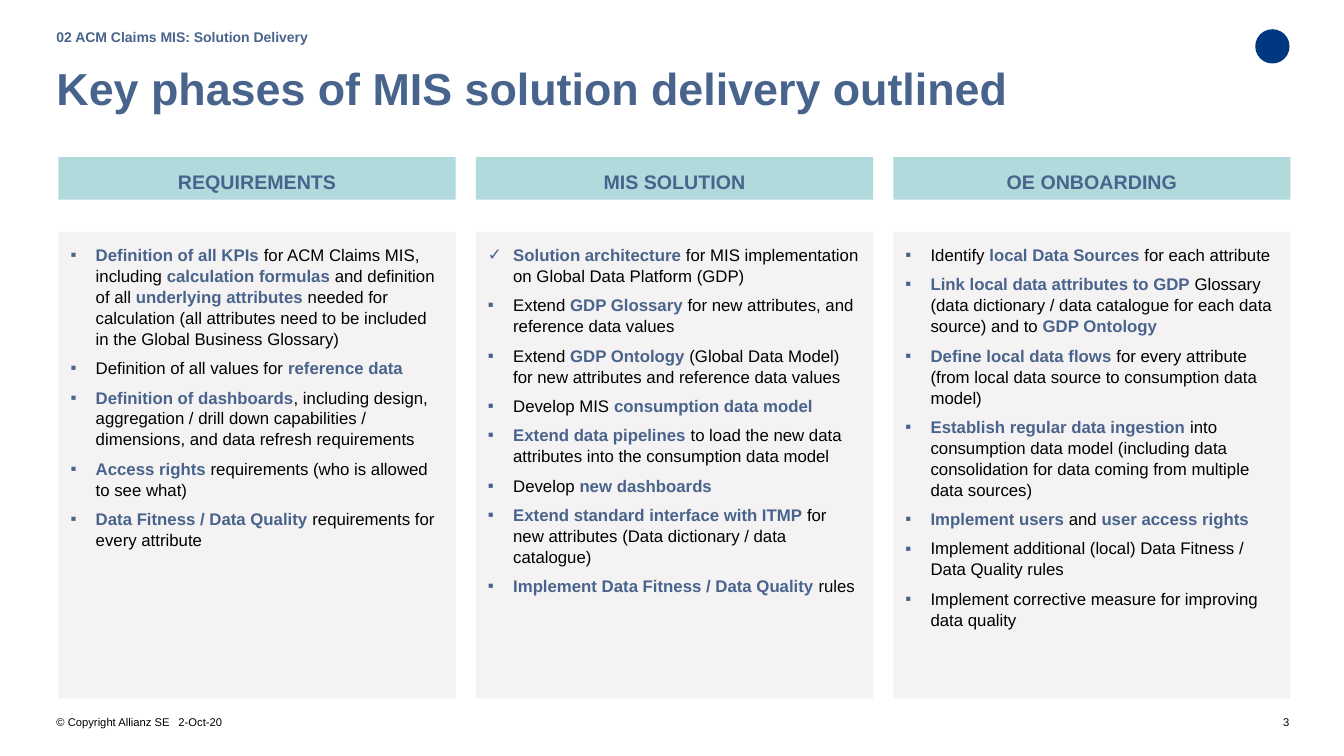
import lxml.etree
import pptx
import pptx.dml.color
import pptx.enum.shapes
import pptx.enum.text
import pptx.oxml.ns
import pptx.util

Inches, Pt = pptx.util.Inches, pptx.util.Pt
rgb = pptx.dml.color.RGBColor.from_string
qn = pptx.oxml.ns.qn
Align = pptx.enum.text.PP_ALIGN
Shape = pptx.enum.shapes.MSO_SHAPE

SLATE, BLACK, TEAL, GREY, NAVY = "49648C", "000000", "B1DADD", "F4F2F2", "003781"

# Heading, first bullet mark, list items; ** encloses highlighted words.
COLUMNS = [
    ("REQUIREMENTS", "▪", [
        "**Definition of all KPIs **for ACM Claims MIS, including **calculation formulas **and "
        "definition of all **underlying attributes **needed for calculation (all attributes need "
        "to be included in the Global Business Glossary)",
        "Definition of all values for **reference data**",
        "**Definition of dashboards**, including design, aggregation / drill down capabilities / "
        "dimensions, and data refresh requirements",
        "**Access rights **requirements (who is allowed to see what)",
        "**Data Fitness / Data Quality **requirements for every attribute",
    ]),
    ("MIS SOLUTION", "✓", [
        "**Solution architecture **for MIS implementation on Global Data Platform (GDP)",
        "Extend **GDP Glossary **for new attributes, and reference data values",
        "Extend **GDP Ontology **(Global Data Model) for new attributes and reference data values",
        "Develop MIS **consumption data model**",
        "**Extend data pipelines **to load the new data attributes into the consumption data model",
        "Develop **new dashboards**",
        "**Extend standard interface with ITMP **for new attributes (Data dictionary / data catalogue)",
        "**Implement Data Fitness / Data Quality **rules",
    ]),
    ("OE ONBOARDING", "▪", [
        "Identify **local Data Sources **for each attribute",
        "**Link local data attributes to GDP **Glossary (data dictionary / data catalogue for each "
        "data source) and to **GDP Ontology**",
        "**Define local data flows **for every attribute (from local data source to consumption "
        "data model)",
        "**Establish regular data ingestion **into consumption data model (including data "
        "consolidation for data coming from multiple data sources)",
        "**Implement users **and **user access rights**",
        "Implement additional (local) Data Fitness / Data Quality rules",
        "Implement corrective measure for improving data quality",
    ]),
]


def format_text(frame, size, color, bold=False, align=Align.LEFT, insets=(0, 0, 0, 0)):
    """Format a frame and its runs; insets are left, top, right, bottom in inches."""
    frame.word_wrap = True
    frame.auto_size = pptx.enum.text.MSO_AUTO_SIZE.NONE
    frame.vertical_anchor = pptx.enum.text.MSO_ANCHOR.TOP
    frame.margin_left, frame.margin_top, frame.margin_right, frame.margin_bottom = map(Inches, insets)
    for para in frame.paragraphs:
        para.alignment = align
        for run in para.runs:
            run.font.name = "Arial"
            run.font.size = Pt(size)
            run.font.bold = bold
            run.font.color.rgb = rgb(color)


def add_filled_shape(kind, left, top, width, height, color):
    shape = page.shapes.add_shape(kind, Inches(left), Inches(top), Inches(width), Inches(height))
    shape.shadow.inherit = False
    shape.fill.solid()
    shape.fill.fore_color.rgb = rgb(color)
    shape.line.fill.background()
    return shape


deck = pptx.Presentation()
deck.slide_width, deck.slide_height = Inches(13.33), Inches(7.5)
page = deck.slides.add_slide(deck.slide_layouts[1])

title, kicker = page.placeholders
title.left, title.top, title.width, title.height = map(Inches, (0.56, 0.56, 11.67, 0.56))
title.text_frame.text = "Key phases of MIS solution delivery outlined"
format_text(title.text_frame, 32, SLATE, bold=True, insets=(0, 0.04, 0, 0))

kicker.left, kicker.top, kicker.width, kicker.height = map(Inches, (0.56, 0.28, 6.1, 0.17))
kicker.text_frame.text = "02 ACM Claims MIS: Solution Delivery"
format_text(kicker.text_frame, 10, SLATE, bold=True)
kicker_para = kicker.text_frame.paragraphs[0]
kicker_props = kicker_para._p.get_or_add_pPr()
kicker_props.set("marL", "0")
kicker_props.set("indent", "0")
lxml.etree.SubElement(kicker_props, qn("a:buNone"))
kicker_para.space_before = Pt(0)

add_filled_shape(Shape.OVAL, 12.45, 0.29, 0.34, 0.34, NAVY)

for index, (heading, first_mark, items) in enumerate(COLUMNS):
    left = 0.58 + index * 4.14
    header = add_filled_shape(Shape.RECTANGLE, left, 1.56, 3.94, 0.42, TEAL)
    header.text_frame.text = heading
    format_text(header.text_frame, 14, SLATE, True, Align.CENTER, (0, 0.12, 0, 0.12))
    header.text_frame.paragraphs[0].line_spacing = 1.04

    panel = add_filled_shape(Shape.RECTANGLE, left, 2.3, 3.94, 4.63, GREY)
    frame = panel.text_frame
    frame.text = "\n".join(item.replace("**", "") for item in items)
    for number, (para, item) in enumerate(zip(frame.paragraphs, items)):
        para.clear()
        for part in item.split("**"):
            para.add_run().text = part
        props = para._p.get_or_add_pPr()
        props.set("marL", str(Inches(0.25)))
        props.set("indent", str(-Inches(0.25)))
        bullet_color = lxml.etree.SubElement(props, qn("a:buClr"))
        lxml.etree.SubElement(bullet_color, qn("a:srgbClr"), val=SLATE)
        lxml.etree.SubElement(props, qn("a:buFont"), typeface="Arial")
        mark = first_mark if number == 0 else "▪"
        lxml.etree.SubElement(props, qn("a:buChar"), char=mark)
        para.line_spacing = 1.04
        para.space_after = Pt(6)
    format_text(frame, 12, BLACK, insets=(0.12, 0.12, 0.12, 0.12))
    for para in frame.paragraphs:
        for span in para.runs[1::2]:
            span.font.bold = True
            span.font.color.rgb = rgb(SLATE)
        for span in para.runs:
            if not span.text:
                para._p.remove(span._r)

for text, left, width, align in [
    ("© Copyright Allianz SE", 0.56, 1.2, Align.LEFT),
    ("2-Oct-20", 1.77, 1.43, Align.LEFT),
    ("3", 12.23, 0.56, Align.RIGHT),
]:
    box = page.shapes.add_textbox(Inches(left), Inches(7.1), Inches(width), Inches(0.13))
    box.text_frame.text = text
    format_text(box.text_frame, 8, BLACK, align=align)

deck.save("out.pptx")
